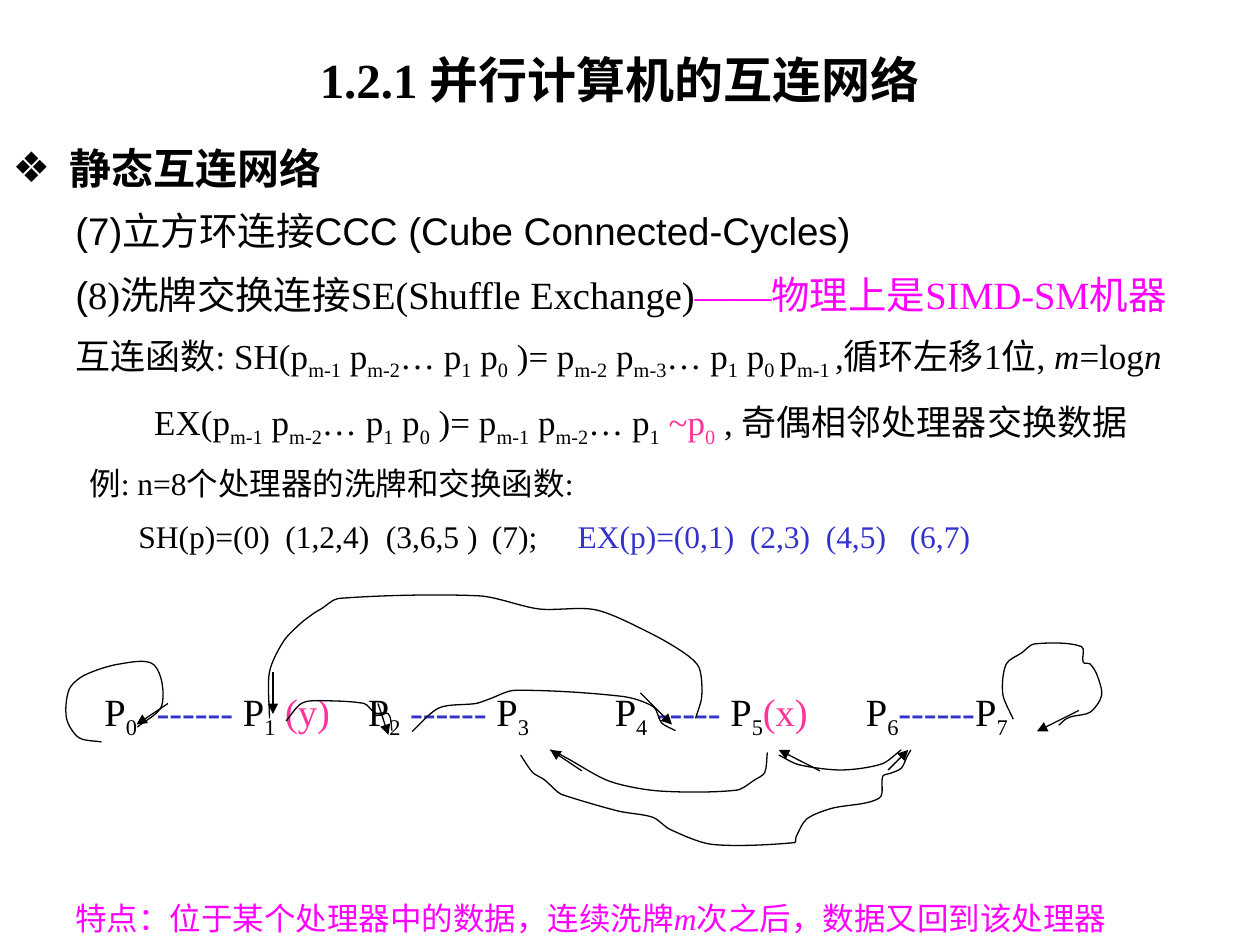
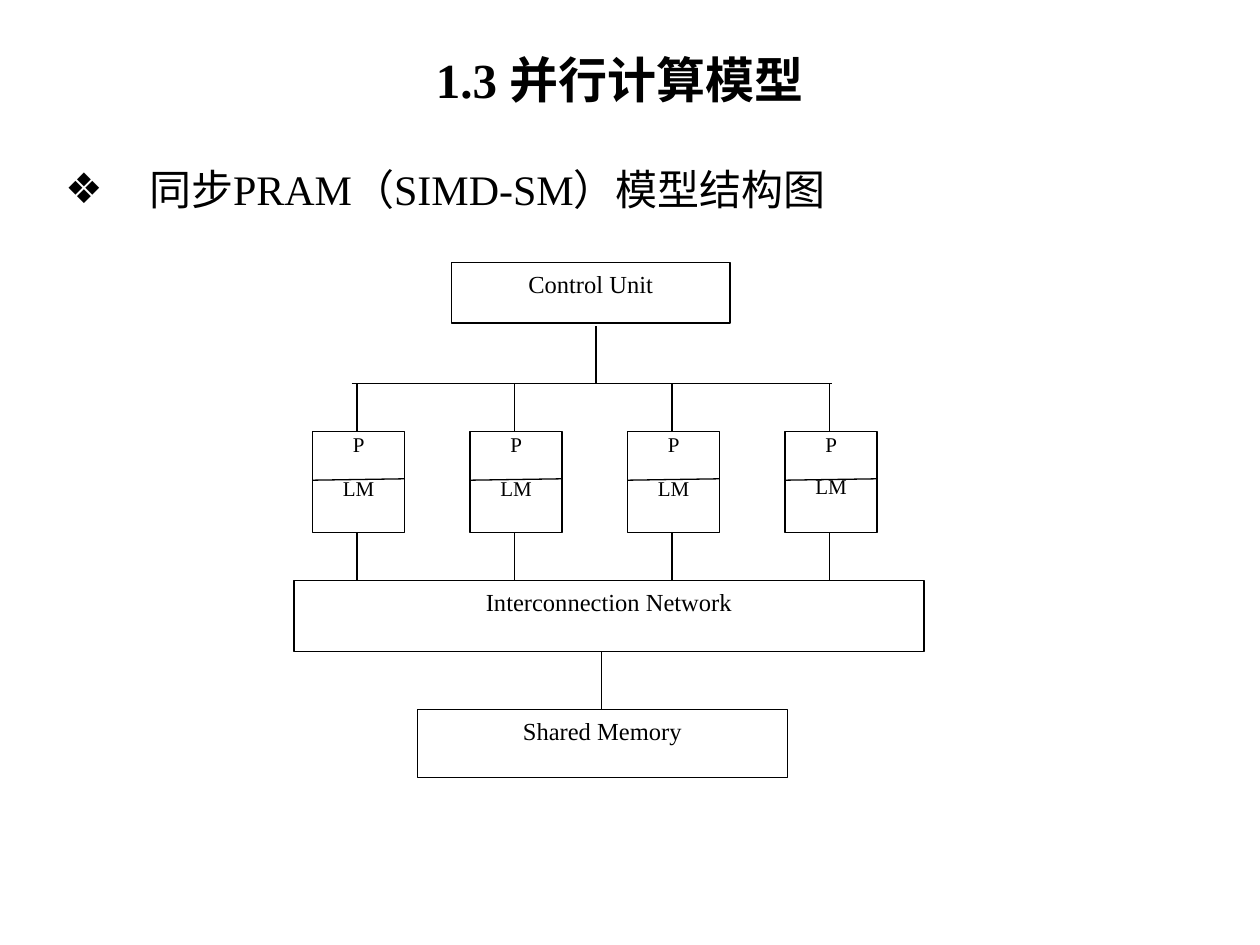
import math

from pptx import Presentation
from pptx.dml.color import RGBColor
from pptx.enum import shapes, text
from pptx.oxml import ns, xmlchemy
from pptx.util import Pt

BLACK = RGBColor(0x00, 0x00, 0x00)
WHITE = RGBColor(0xFF, 0xFF, 0xFF)
MAGENTA = RGBColor(0xFF, 0x00, 0xFF)
PINK = RGBColor(0xFF, 0x33, 0x99)
BLUE = RGBColor(0x33, 0x33, 0xCC)
SERIF, SANS = "Times New Roman", "Arial"
LINE_WIDTH = 0.75
LINE_HEIGHT = 28
INSET = 7.2

# Each line: size, space before, left indent, tab stops, spans.
# A span is (words, colour, font, italic); bars enclose subscripts.
SHUFFLE_LINES = [
    (22, 0, 36, (), [("(7)立方环连接CCC (Cube Connected-Cycles)", BLACK, SANS)]),
    (22, 8.5, 36, (), [("(", BLACK, SANS),
                       ("8)洗牌交换连接SE(Shuffle Exchange)",),
                       ("——物理上是SIMD-SM机器", MAGENTA)]),
    (20, 9.1, 36, (), [("互连函数: SH(p|m-1| p|m-2|… p|1| p|0| )= p|m-2| p|m-3|"
                        "… p|1| p|0 |p|m-1 |,循环左移1位, ",),
                       ("m", BLACK, SERIF, True), ("=log",),
                       ("n", BLACK, SERIF, True)]),
    (20, 10, 81, (), [("EX(p|m-1| p|m-2|… p|1| p|0| )= p|m-1| p|m-2|… p|1| ",),
                      ("~p|0| ", PINK), (", 奇偶相邻处理器交换数据",)]),
    (18, 2.5, 44, (), [("例: n=8个处理器的洗牌和交换函数:",)]),
    (18, 2.2, 0, (72, 156, 213.4, 274, 323, 421.4, 464.8, 512.8),
     [("\tSH(p)=(0)\t(1,2,4)\t(3,6,5 )\t(7);",),
      ("\tEX(p)=(0,1)\t(2,3)\t(4,5)\t(6,7)", BLUE)]),
    (22, 78, 0, (52.6, 82.4, 203.2, 344.2, 487.7),
     [("\tP|0|\t",), ("------", BLUE), (" P|1| ",), ("(y)", PINK),
      ("\tP|2| ",), ("------", BLUE), (" P|3|",),
      ("\tP|4| ",), ("-----", BLUE), (" P|5|",), ("(x)", PINK),
      ("\tP|6|",), ("------", BLUE), ("P|7|",)]),
    (18, 84.5, 36, (), [("特点：位于某个处理器中的数据，连续洗牌", MAGENTA),
                        ("m", MAGENTA, SERIF, True),
                        ("次之后，数据又回到该处理器", MAGENTA)]),
]

# Shuffle paths by their turning points, relative to the network box
SHUFFLE_PATHS = [
    # P0 to itself
    [(22, 88), (9, 85.5), (2, 74.5), (3.5, 58), (12, 50), (32, 43.5),
     (52, 44), (56.5, 67), (42.5, 79.5)],
    # P1 to P2
    [(127.5, 76), (135.5, 66.5), (142, 64.5), (172, 66), (178.5, 71.5),
     (186, 72), (188, 81.5)],
    # P2 to P4
    [(199.5, 82), (215, 68.5), (236, 66), (243.5, 63.5), (258, 58.5),
     (320, 62), (337.5, 68), (342, 77), (350, 81.5)],
    # P4 to P1
    [(361.5, 74.5), (365, 62), (363.5, 45.5), (355.5, 37.5), (336, 26),
     (304.5, 12.5), (272, 12), (238, 4.5), (157.5, 6), (147.5, 12),
     (144, 14), (135.5, 20.5), (126, 30.5), (118, 48), (118, 74.5)],
    # P5 to P3
    [(402.5, 94), (401, 105.5), (395.5, 109.5), (385, 115.5), (341, 116),
     (312.5, 110.5), (288.5, 97.5), (282, 94), (278.5, 92.5)],
    # P3 to P6
    [(261.5, 95.5), (268.5, 105.5), (275, 109.5), (281.5, 115.5), (285, 118),
     (317.5, 127.5), (337, 131), (347, 138), (371, 146.5), (418, 145.5),
     (419, 142), (425, 132), (439, 126), (466.5, 120), (468.5, 107.5),
     (472.5, 106), (479, 103), (482.5, 96), (484.5, 92.5)],
    # P6 to P5
    [(479, 92.5), (468, 100.5), (445, 104), (420.5, 101), (409, 95.5)],
    # P7 to itself
    [(543, 75), (537, 60.5), (539, 43.5), (548, 37), (555, 32), (582, 33.5),
     (583, 42.5), (587, 43.5), (591, 50), (593.5, 61.5), (587, 71),
     (576.5, 73.5), (573, 75), (569, 78.5)],
]
ARROWS = [(180, 66, 186, 84), (330, 60, 348, 78), (120, 48, 120, 72),
          (60, 66, 42, 78), (296.5, 104.5, 278.5, 92.5),
          (471.5, 104, 483, 92.5), (432.5, 104.5, 409, 92.5),
          (580.5, 70, 556.5, 82)]


def place(shape, box):
    shape.left, shape.top, shape.width, shape.height = map(Pt, box)


def add_span(para, words, size, color=BLACK, font=SERIF, italic=False, bold=False):
    """Add words run by run; parts between bars become subscripts."""
    for index, part in enumerate(words.split("|")):
        if not part:
            continue
        span = para.add_run()
        span.text = part
        span.font.size, span.font.name = Pt(size), font
        span.font.bold, span.font.italic = bold, italic
        span.font.color.rgb = color
        if index % 2:
            span._r.get_or_add_rPr().set("baseline", "-25000")


def add_child(parent, tag, **values):
    child = xmlchemy.OxmlElement(tag)
    for key, value in values.items():
        child.set(key, str(value))
    parent.append(child)
    return child


def add_page(deck, title, heading, box, indent, bold):
    """Page with a centred title and one bulleted heading."""
    page = deck.slides.add_slide(deck.slide_layouts[1])
    place(page.shapes.title, (48, 24, 612, 42))
    frame = page.shapes.title.text_frame
    frame.auto_size = text.MSO_AUTO_SIZE.NONE
    frame.vertical_anchor = text.MSO_ANCHOR.MIDDLE
    para = frame.paragraphs[0]
    para.alignment = text.PP_ALIGN.CENTER
    add_span(para, title, 28, bold=True)

    body = page.placeholders[1]
    place(body, box)
    body.text_frame.auto_size = text.MSO_AUTO_SIZE.NONE
    para = body.text_frame.paragraphs[0]
    properties = para._p.get_or_add_pPr()
    properties.set("marL", str(Pt(indent)))
    properties.set("indent", str(-Pt(indent)))
    add_child(properties, "a:buChar", char="❖")
    add_span(para, heading, 24, bold=bold)
    return page


def add_line(page, box, start_x, start_y, end_x, end_y, arrow=False):
    left, top = box[:2]
    line = page.shapes.add_connector(
        shapes.MSO_CONNECTOR.STRAIGHT, Pt(left + start_x), Pt(top + start_y),
        Pt(left + end_x), Pt(top + end_y))
    line.line.color.rgb = BLACK
    line.line.width = Pt(LINE_WIDTH)
    properties = line._element.spPr
    if arrow:
        add_child(properties.find(ns.qn("a:ln")), "a:tailEnd", type="triangle")
    add_child(properties, "a:effectLst")


def bend(curve):
    """Turn the straight segments of a freeform into smooth Bézier segments."""
    outline = next(curve._element.iter(ns.qn("a:path")))
    points = [(int(p.get("x")), int(p.get("y")))
              for p in outline.iter(ns.qn("a:pt"))]
    ends = [points[0], *points, points[-1]]
    headings = [math.atan2(after[1] - before[1], after[0] - before[0])
                for before, after in zip(ends, ends[2:])]
    for segment in outline.findall(ns.qn("a:lnTo")):
        outline.remove(segment)
    for i, (start, end) in enumerate(zip(points, points[1:])):
        reach = math.dist(start, end) * 0.28
        handles = [
            (x + side * reach * math.cos(angle), y + side * reach * math.sin(angle))
            for (x, y), angle, side in ((start, headings[i], 1),
                                        (end, headings[i + 1], -1))]
        segment = add_child(outline, "a:cubicBezTo")
        for x, y in (*handles, end):
            add_child(segment, "a:pt", x=round(x), y=round(y))


def add_curve(page, box, points):
    left, top = box[:2]
    start, *rest = [(Pt(left + x), Pt(top + y)) for x, y in points]
    builder = page.shapes.build_freeform(*start)
    builder.add_line_segments(rest, close=False)
    curve = builder.convert_to_shape()
    bend(curve)
    curve.shadow.inherit = False
    curve.fill.background()
    curve.line.color.rgb = BLACK
    curve.line.width = Pt(LINE_WIDTH)


def add_shuffle_text(page, box):
    frame = page.shapes.add_textbox(*map(Pt, box)).text_frame
    frame.word_wrap = True
    for index, (size, before, indent, stops, spans) in enumerate(SHUFFLE_LINES):
        para = frame.add_paragraph() if index else frame.paragraphs[0]
        para.line_spacing = Pt(LINE_HEIGHT)
        para.space_before = Pt(before)
        properties = para._p.get_or_add_pPr()
        properties.set("marL", str(Pt(indent)))
        if stops:
            tabs = add_child(properties, "a:tabLst")
            for stop in stops:
                add_child(tabs, "a:tab", pos=Pt(stop), algn="l")
        for words, *style in spans:
            add_span(para, words, size, *style)


def add_shuffle_network(page, box):
    for points in SHUFFLE_PATHS:
        add_curve(page, box, points)
    for arrow in ARROWS:
        add_line(page, box, *arrow, arrow=True)


def add_unit(page, box, place_in_box, labels, size, inset=(INSET, 3.6), gap=0):
    """White rectangle with centred labels stacked from its top."""
    x, y, width, height = place_in_box
    unit = page.shapes.add_shape(
        shapes.MSO_SHAPE.RECTANGLE,
        *map(Pt, (box[0] + x, box[1] + y, width, height)))
    unit.shadow.inherit = False
    unit.fill.solid()
    unit.fill.fore_color.rgb = WHITE
    unit.line.color.rgb = BLACK
    unit.line.width = Pt(LINE_WIDTH)
    frame = unit.text_frame
    frame.word_wrap = True
    frame.vertical_anchor = text.MSO_ANCHOR.TOP
    frame.margin_left = frame.margin_right = Pt(inset[0])
    frame.margin_top = frame.margin_bottom = Pt(inset[1])
    for index, label in enumerate(labels):
        para = frame.add_paragraph() if index else frame.paragraphs[0]
        para.alignment = text.PP_ALIGN.CENTER
        para.space_before = Pt(gap if index else 1)
        add_span(para, label, size)


def add_pram_diagram(page, box):
    bus, unit_top, unit_bottom, network_top = 69, 96.5, 154.2, 181.8
    add_unit(page, box, (90, 0, 159.2, 34.6), ["Control Unit"], 14)
    add_unit(page, box, (0, network_top, 360, 40.6), ["Interconnection Network"], 14)
    add_unit(page, box, (70.5, 255.4, 211.5, 38.8), ["Shared Memory"], 14)
    # Processors with local memory
    for column in range(4):
        left = 10.6 + 90 * column
        stem = left + 25.4
        add_unit(page, box, (left, unit_top, 52.6, unit_bottom - unit_top),
                 ["P", "LM"], 12, (0, 0), 9.8 if column == 3 else 10.9)
        add_line(page, box, left, 124.4, left + 52.6, 123.6)
        add_line(page, box, stem, bus, stem, unit_top)
        add_line(page, box, stem, unit_bottom, stem, network_top)
    # Bus and trunks
    add_line(page, box, 33, bus, 307.2, bus)
    add_line(page, box, 172.6, 36.5, 172.6, bus)
    add_line(page, box, 175.6, 222.6, 175.6, 255.4)


def main():
    deck = Presentation()
    deck.slide_width, deck.slide_height = Pt(720), Pt(540)

    page = add_page(deck, "1.2.1 并行计算机的互连网络", "静态互连网络",
                    (0, 78, 702, 462), 32.6, True)
    add_shuffle_text(page, (0, 113, 702, 426))
    add_shuffle_network(page, (36, 336, 600, 150))

    page = add_page(deck, "1.3 并行计算模型", "同步PRAM（SIMD-SM）模型结构图",
                    (30, 90, 672, 435), 48, False)
    add_pram_diagram(page, (168, 150, 360, 295))
    deck.save("out.pptx")


if __name__ == "__main__":
    main()
